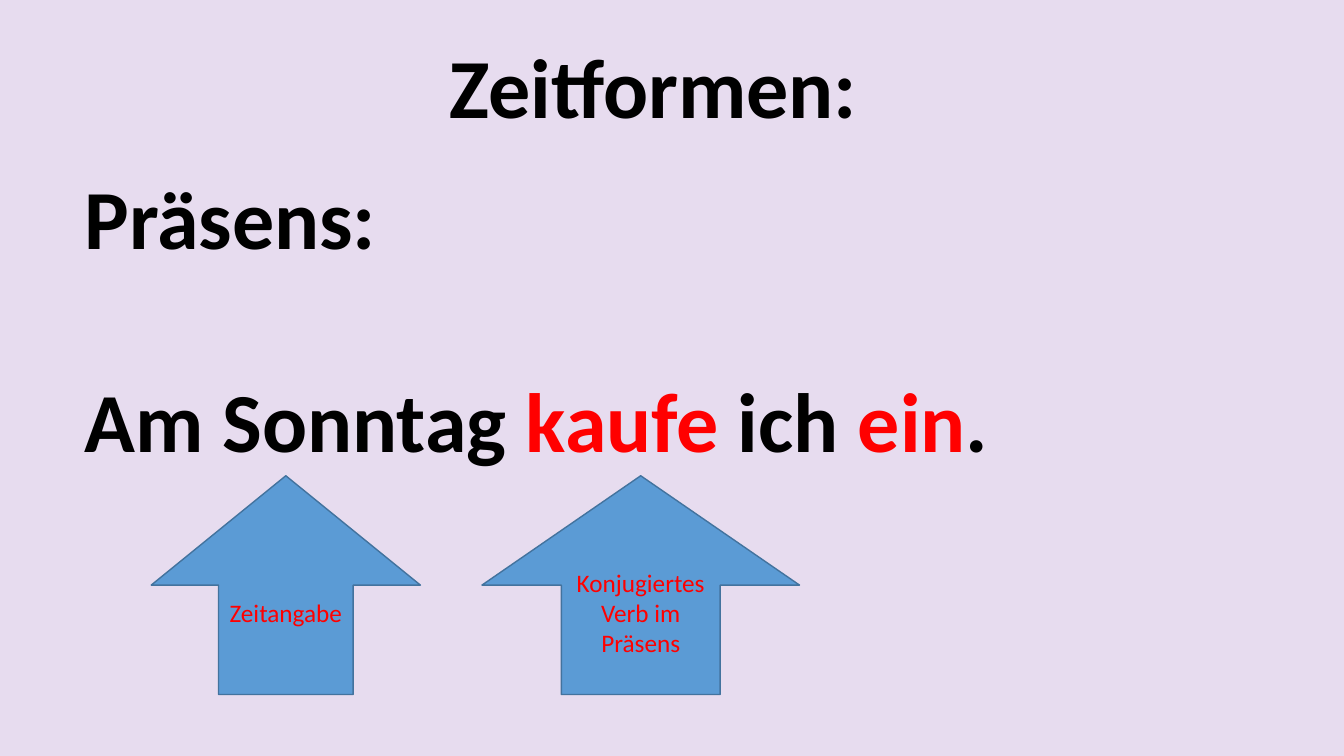
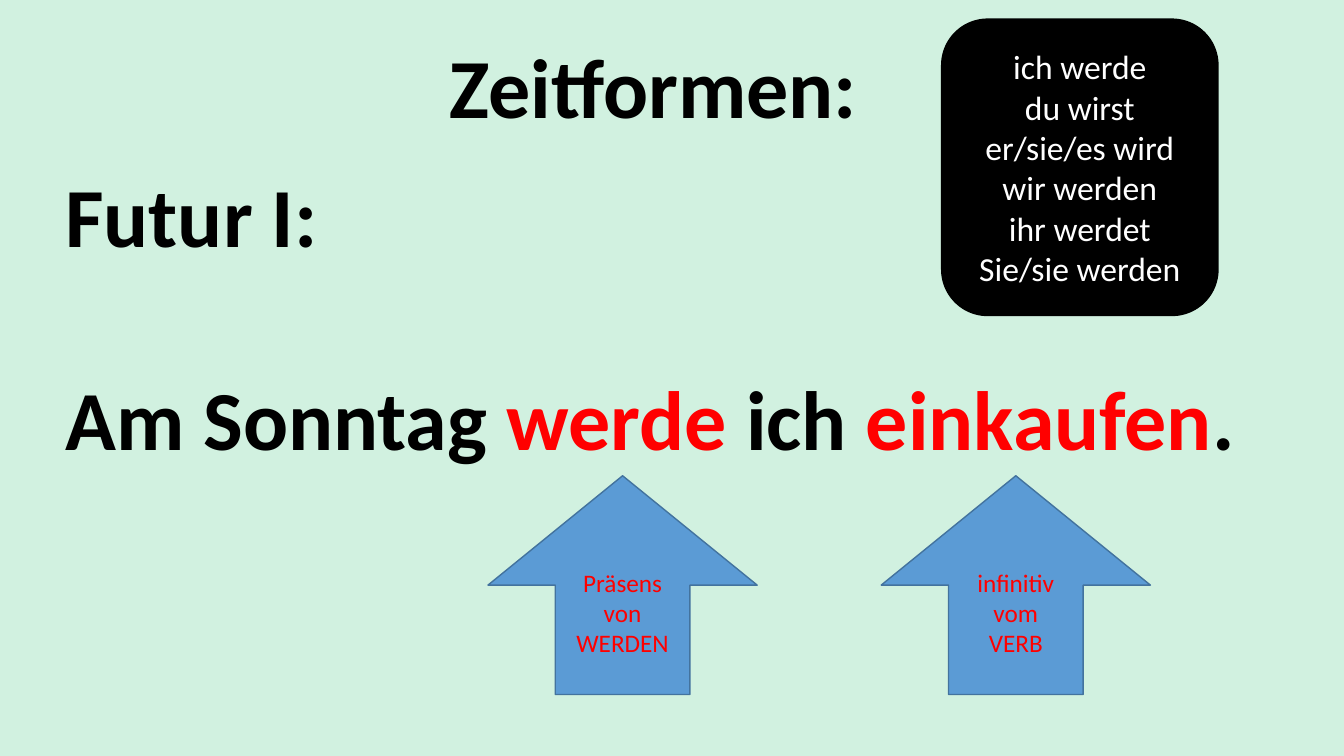
from pptx import Presentation
from pptx.dml.color import RGBColor
from pptx.enum.shapes import MSO_SHAPE
from pptx.enum.text import MSO_ANCHOR, MSO_AUTO_SIZE, PP_ALIGN
from pptx.util import Inches, Pt

UP_ARROW = MSO_SHAPE.UP_ARROW
ROUNDED_BOX = MSO_SHAPE.ROUNDED_RECTANGLE
TOP, MIDDLE = MSO_ANCHOR.TOP, MSO_ANCHOR.MIDDLE
LEFT, CENTER = PP_ALIGN.LEFT, PP_ALIGN.CENTER
NO_AUTO_SIZE = MSO_AUTO_SIZE.NONE
TITLE_ONLY = 5

COLORS = {
    "lilac": "E7DCEF",
    "mint": "D1F1E0",
    "black": "000000",
    "white": "FFFFFF",
    "red": "FF0000",
    "arrow": "5B9BD5",
    "arrow_line": "43739E",
}


def color(name):
    return RGBColor.from_string(COLORS[name])


class LessonDeck:
    font_name = "Calibri"
    heading_size = 60
    label_size = 18
    arrow_top = 4.72
    arrow_height = 2.17

    def __init__(self):
        self.presentation = Presentation()
        self.presentation.slide_width = Inches(13.33)
        self.presentation.slide_height = Inches(7.5)
        self.slide = None

    def format_run(self, run, size, color_name, bold=False):
        run.font.name = self.font_name
        run.font.size = Pt(size)
        run.font.bold = bold
        run.font.color.rgb = color(color_name)

    def prepare_heading(self, text_frame):
        text_frame.word_wrap = False
        text_frame.auto_size = NO_AUTO_SIZE
        text_frame.vertical_anchor = TOP

    def add_slide(self, title, background):
        layout = self.presentation.slide_layouts[TITLE_ONLY]
        self.slide = self.presentation.slides.add_slide(layout)
        fill = self.slide.background.fill
        fill.solid()
        fill.fore_color.rgb = color(background)

        shape = self.slide.shapes.title
        shape.left, shape.top = Inches(4.36), Inches(0.29)
        shape.width, shape.height = Inches(4.31), Inches(1.11)
        self.prepare_heading(shape.text_frame)
        shape.text_frame.text = title
        paragraph = shape.text_frame.paragraphs[0]
        paragraph.alignment = LEFT
        self.format_run(paragraph.runs[0], self.heading_size, "black", True)

    def add_example(self, left, top, width, tense, parts):
        shape = self.slide.shapes.add_textbox(
            Inches(left), Inches(top), Inches(width), Inches(3.13))
        self.prepare_heading(shape.text_frame)
        shape.text_frame.text = tense
        heading = shape.text_frame.paragraphs[0]
        self.format_run(heading.runs[0], self.heading_size, "black", True)

        sentence = shape.text_frame.add_paragraph()
        sentence.space_before = Pt(73)
        for index, part in enumerate(parts):
            run = sentence.add_run()
            run.text = part
            color_name = "red" if index % 2 else "black"
            self.format_run(run, self.heading_size, color_name, True)

    def add_box(self, kind, bounds, text, size, fill, line, text_color):
        shape = self.slide.shapes.add_shape(kind, *map(Inches, bounds))
        shape.shadow.inherit = False
        shape.fill.solid()
        shape.fill.fore_color.rgb = color(fill)
        shape.line.color.rgb = color(line)
        shape.line.width = Pt(1)
        shape.text_frame.vertical_anchor = MIDDLE
        shape.text_frame.text = text
        for paragraph in shape.text_frame.paragraphs:
            paragraph.alignment = CENTER
            self.format_run(paragraph.runs[0], size, text_color)

    def add_arrow(self, left, text, width=2.67):
        bounds = (left, self.arrow_top, width, self.arrow_height)
        self.add_box(UP_ARROW, bounds, text, self.label_size,
                     "arrow", "arrow_line", "red")

    def add_verb_forms(self, forms):
        self.add_box(ROUNDED_BOX, (9.34, 0.19, 2.74, 2.94), "\n".join(forms),
                     24, "black", "black", "white")


def main():
    deck = LessonDeck()

    deck.add_slide("Zeitformen:", "lilac")
    deck.add_example(0.74, 1.59, 9.26, "Präsens:",
                     ["Am Sonntag ", "kaufe", " ich ", "ein", "."])
    deck.add_arrow(1.5, "Zeitangabe")
    deck.add_arrow(4.78, "Konjugiertes\nVerb im Präsens", width=3.15)

    deck.add_slide("Zeitformen:", "mint")
    deck.add_example(0.55, 1.57, 11.92, "Futur I:",
                     ["Am Sonntag ", "werde", " ich ", "einkaufen", "."])
    deck.add_arrow(4.84, "Präsens von WERDEN")
    deck.add_arrow(8.74, "infinitiv vom\nVERB")
    deck.add_verb_forms(["ich werde", "du wirst", "er/sie/es wird",
                         "wir werden", "ihr werdet", "Sie/sie werden"])

    deck.presentation.save("out.pptx")


if __name__ == "__main__":
    main()
